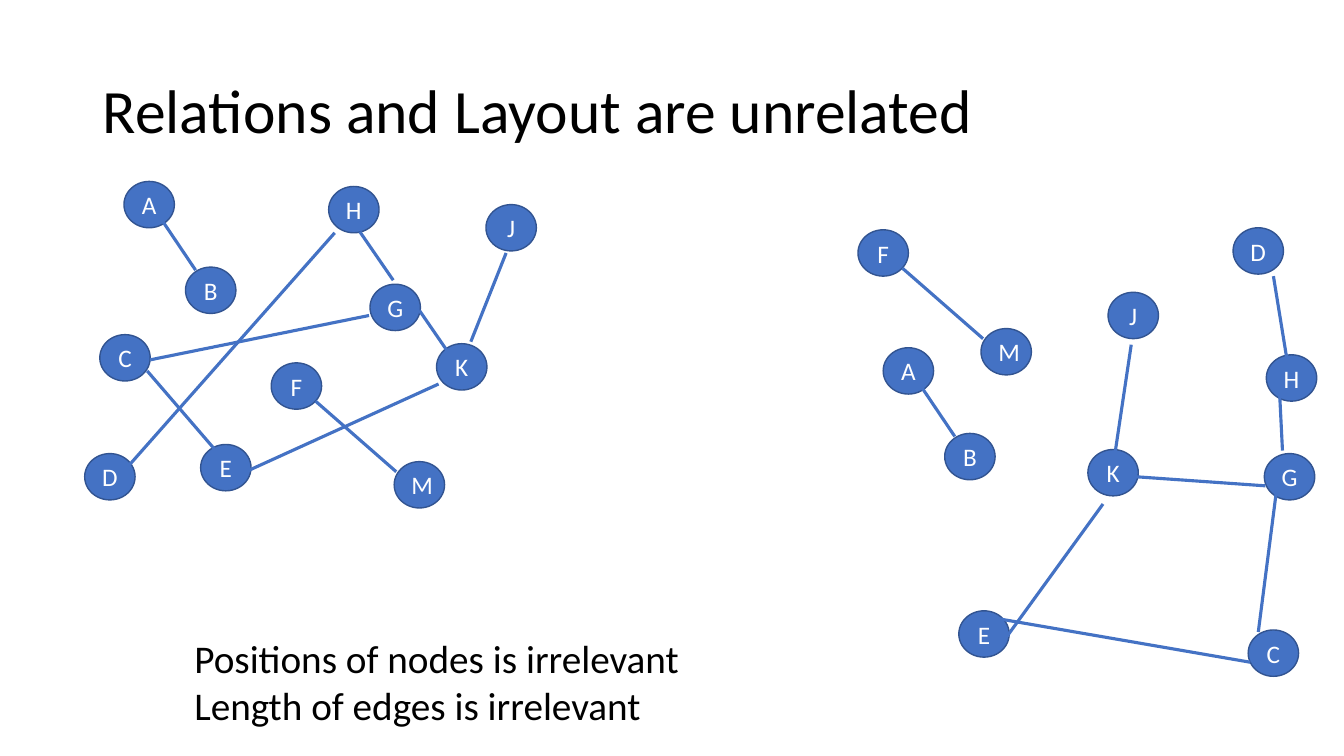
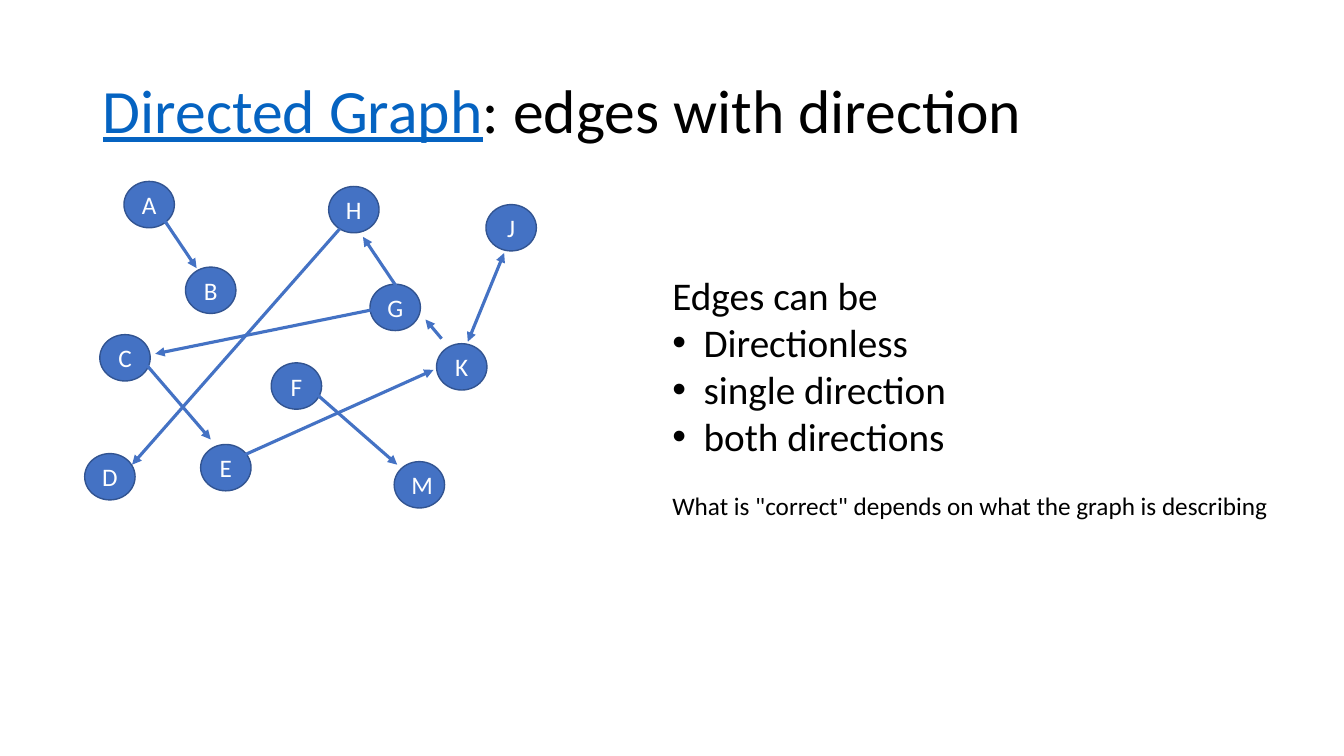
import pptx
import pptx.util
import pptx.dml.color
import pptx.enum.shapes
import pptx.enum.text
import pptx.oxml.ns
import lxml.etree

Inches = pptx.util.Inches
Pt = pptx.util.Pt
ALIGN = pptx.enum.text.PP_ALIGN
ANCHOR = pptx.enum.text.MSO_ANCHOR
AUTO = pptx.enum.text.MSO_AUTO_SIZE

COLORS = {
    "text": "000000",
    "link": "0563C1",
    "node": "4472C4",
    "outline": "325491",
    "label": "FFFFFF",
}
FONT = "Calibri"
NODE_W, NODE_H = 0.5, 0.46
BULLET_INDENT = 0.31

LEFT_NODES = {
    "D": (0.84, 4.5), "G": (3.67, 2.82), "A": (1.23, 1.8), "B": (1.84, 2.65),
    "F": (2.69, 3.6), "H": (3.26, 1.85), "K": (4.33, 3.41), "J": (4.82, 2.03),
    "M": (3.91, 4.58), "E": (1.99, 4.41), "C": (0.99, 3.32),
}
RIGHT_NODES = {
    "D": (12.23, 2.26), "G": (12.54, 4.5), "A": (8.76, 3.45), "B": (9.37, 4.3),
    "F": (8.51, 2.28), "H": (12.56, 3.52), "K": (10.79, 4.46), "J": (10.99, 2.9),
    "M": (9.73, 3.26), "E": (9.51, 6.06), "C": (12.38, 6.25),
}
LEFT_EDGES = [
    (1.61, 2.19, 1.94, 2.68), (1.46, 3.68, 2.14, 4.47), (5.02, 2.51, 4.67, 3.39),
    (3.57, 2.3, 3.9, 2.78), (3.13, 3.98, 3.93, 4.68), (4.35, 3.81, 2.46, 4.67),
    (3.32, 2.31, 1.25, 4.65), (1.49, 3.57, 3.66, 3.13), (4.16, 3.08, 4.49, 3.56),
]
RIGHT_EDGES = [
    (9.14, 3.84, 9.47, 4.33), (12.4, 6.57, 9.68, 6.1), (11.22, 3.42, 11.06, 4.49),
    (12.69, 3.87, 12.72, 4.47), (8.95, 2.66, 9.75, 3.36), (10.94, 5, 9.99, 6.31),
    (12.63, 2.74, 12.76, 3.54), (12.48, 6.27, 12.66, 4.87), (12.55, 4.82, 11.27, 4.73),
]
DIRECTED_EDGES = [
    (1.62, 2.17, 1.95, 2.66, "tail"), (1.41, 3.57, 2.09, 4.36, "tail"),
    (5, 2.51, 4.64, 3.39, "head", "tail"), (3.6, 2.35, 3.93, 2.84, "head"),
    (3.14, 3.91, 3.94, 4.61, "tail"), (4.3, 3.67, 2.41, 4.52, "head"),
    (3.37, 2.27, 1.31, 4.61, "tail"), (1.54, 3.51, 3.71, 3.07, "head"),
    (4.22, 3.17, 4.38, 3.36, "head"),
]


def rgb(name):
    return pptx.dml.color.RGBColor.from_string(COLORS[name])


def sub(parent, tag, **attrs):
    return lxml.etree.SubElement(parent, pptx.oxml.ns.qn(tag), attrs)


def set_attrs(obj, values):
    for name, value in values.items():
        setattr(obj, name, value)


def add_run(p, text, size, color="text", **font):
    r = p.add_run()
    r.text = text
    set_attrs(r.font, {"name": FONT, "size": Pt(size), **font})
    r.font.color.rgb = rgb(color)


def add_slide(prs, title_runs):
    s = prs.slides.add_slide(prs.slide_layouts[5])
    sp = s.shapes.title
    set_attrs(sp, {"left": Inches(0.92), "top": Inches(0.4),
                   "width": Inches(11.5), "height": Inches(1.45)})
    tf = sp.text_frame
    set_attrs(tf, {"vertical_anchor": ANCHOR.MIDDLE, "auto_size": AUTO.NONE, "word_wrap": True})
    p = tf.paragraphs[0]
    set_attrs(p, {"alignment": ALIGN.LEFT, "line_spacing": 0.9})
    for text, font in title_runs:
        add_run(p, text, 44, **font)
    return s


def add_node(s, label, x, y):
    sp = s.shapes.add_shape(pptx.enum.shapes.MSO_SHAPE.OVAL,
                            Inches(x), Inches(y), Inches(NODE_W), Inches(NODE_H))
    sp.shadow.inherit = False
    sp.fill.solid()
    sp.fill.fore_color.rgb = rgb("node")
    sp.line.color.rgb = rgb("outline")
    sp.line.width = Pt(1)
    tf = sp.text_frame
    tf.vertical_anchor = ANCHOR.MIDDLE
    p = tf.paragraphs[0]
    p.alignment = ALIGN.CENTER
    add_run(p, label, 18, "label")


def add_edge(s, x1, y1, x2, y2, *arrows):
    line = s.shapes.add_connector(pptx.enum.shapes.MSO_CONNECTOR.STRAIGHT,
                                  Inches(x1), Inches(y1), Inches(x2), Inches(y2))
    line.line.color.rgb = rgb("node")
    line.line.width = Pt(2.25)
    ln = line.line._get_or_add_ln()
    for end in arrows:
        sub(ln, f"a:{end}End", type="triangle")
    sub(line._element.spPr, "a:effectLst")


def add_graph(s, nodes, edges):
    for label, (x, y) in nodes.items():
        add_node(s, label, x, y)
    for edge in edges:
        add_edge(s, *edge)


def add_bullet(p):
    pPr = p._p.get_or_add_pPr()
    indent = Inches(BULLET_INDENT)
    pPr.set("marL", str(indent))
    pPr.set("indent", str(-indent))
    sub(pPr, "a:buFont", typeface="Arial")
    sub(pPr, "a:buChar", char="•")


def add_text(s, x, y, w, h, lines):
    tf = s.shapes.add_textbox(Inches(x), Inches(y), Inches(w), Inches(h)).text_frame
    set_attrs(tf, {"word_wrap": True, "auto_size": AUTO.SHAPE_TO_FIT_TEXT})
    for i, (text, size, bullet, before) in enumerate(lines):
        p = tf.add_paragraph() if i else tf.paragraphs[0]
        if before:
            p.space_before = Pt(before)
        if bullet:
            add_bullet(p)
        add_run(p, text, size)


def build_layout_slide(prs):
    s = add_slide(prs, [("Relations and Layout are unrelated", {})])
    add_graph(s, LEFT_NODES, LEFT_EDGES)
    add_graph(s, RIGHT_NODES, RIGHT_EDGES)
    add_text(s, 1.83, 6.24, 6.97, 1.04, [
        ("Positions of nodes is irrelevant", 28, False, 0),
        ("Length of edges is irrelevant", 28, False, 0),
    ])


def build_directed_slide(prs):
    s = add_slide(prs, [
        ("Directed Graph", {"color": "link", "underline": True}),
        (": edges with direction", {}),
    ])
    add_graph(s, LEFT_NODES, DIRECTED_EDGES)
    add_text(s, 6.57, 2.64, 6.92, 2.59, [
        ("Edges can be", 28, False, 0),
        ("Directionless", 28, True, 0),
        ("single direction", 28, True, 0),
        ("both directions", 28, True, 0),
        ('What is "correct" depends on what the graph is describing', 18, False, 22),
    ])


def main():
    prs = pptx.Presentation()
    set_attrs(prs, {"slide_width": Inches(13.33), "slide_height": Inches(7.5)})
    build_layout_slide(prs)
    build_directed_slide(prs)
    prs.save("out.pptx")


if __name__ == "__main__":
    main()
